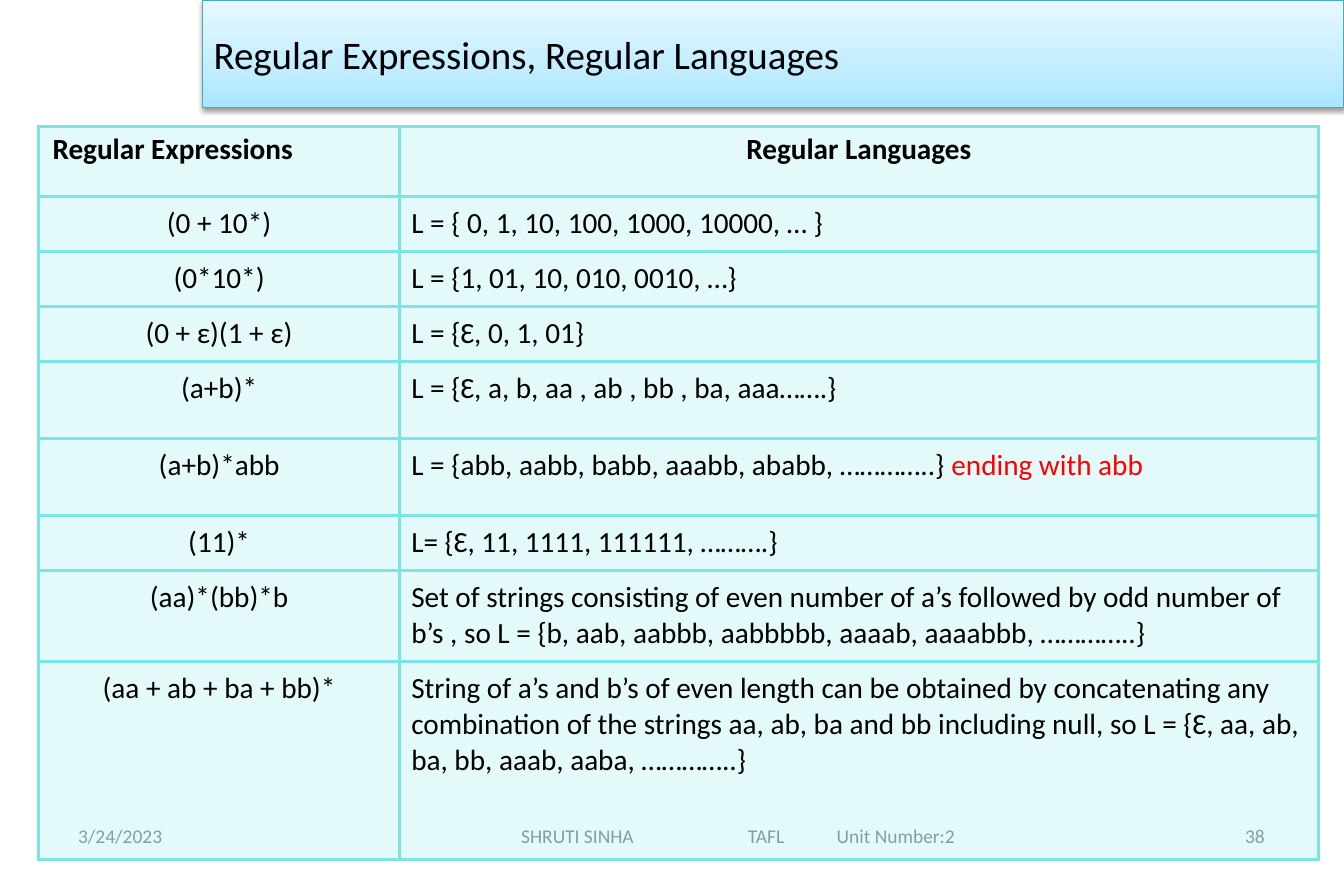
from typing import NamedTuple

from lxml import etree
from pptx import Presentation
from pptx.dml.color import RGBColor
from pptx.enum.shapes import MSO_SHAPE
from pptx.enum.text import MSO_ANCHOR, PP_ALIGN
from pptx.oxml import parse_xml
from pptx.oxml.ns import nsdecls, qn
from pptx.util import Inches, Pt

LEFT, CENTER, RIGHT = PP_ALIGN.LEFT, PP_ALIGN.CENTER, PP_ALIGN.RIGHT
MIDDLE = MSO_ANCHOR.MIDDLE
RECTANGLE = MSO_SHAPE.RECTANGLE
FONT = "Calibri"
COLORS = {
    "text": "000000",
    "accent": "FF0000",
    "footer": "8C8C8C",
    "grid": "7BE5E5",
    "banner_line": "46AAC5",
    "shadow": "000000",
}
BANNER_STOPS = [(0, "A7E6FF"), (35, "C1EDFF"), (100, "E7F8FF")]
COLUMN_WIDTHS = [3.09, 7.86]


class Footer(NamedTuple):
    text: str
    left: float
    width: float
    align: PP_ALIGN
    inset: float = 0.1
    tabs: tuple[float, ...] = ()


class Example(NamedTuple):
    expression: str
    language: str
    height: float
    remark: str = ""


FOOTERS = [
    Footer("3/24/2023", 0.57, 2.68, LEFT),
    Footer("SHRUTI SINHA\tTAFL\tUnit Number:2", 3.16, 6.33, LEFT, 1.3, (1.94, 2.7)),
    Footer("38", 8.24, 2.68, RIGHT),
]
HEADER = Example("Regular Expressions", "Regular Languages", 0.6)
EXAMPLES = [
    Example("(0 + 10*)", "L = { 0, 1, 10, 100, 1000, 10000, … }", 0.47),
    Example("(0*10*)", "L = {1, 01, 10, 010, 0010, …}", 0.47),
    Example("(0 + ε)(1 + ε)", "L = {Ɛ, 0, 1, 01}", 0.47),
    Example("(a+b)*", "L = {Ɛ, a, b, aa , ab , bb , ba, aaa…….}", 0.66),
    Example("(a+b)*abb", "L = {abb, aabb, babb, aaabb, ababb, …………..} ", 0.66,
            "ending with abb"),
    Example("(11)*", "L= {Ɛ, 11, 1111, 111111, ……….}", 0.47),
    Example("(aa)*(bb)*b",
            "Set of strings consisting of even number of a’s followed by odd number of "
            "b’s , so L = {b, aab, aabbb, aabbbbb, aaaab, aaaabbb, …………..}", 0.78),
    Example("(aa + ab + ba + bb)*",
            "String of a’s and b’s of even length can be obtained by concatenating any "
            "combination of the strings aa, ab, ba and bb including null, "
            "so L = {Ɛ, aa, ab, ba, bb, aaab, aaba, …………..}", 1.69),
]


def add_text(paragraph, text: str, *, size: float = 18, color: str = "text",
             bold: bool = False, align: PP_ALIGN = LEFT) -> None:
    paragraph.alignment = align
    run = paragraph.add_run()
    run.text = text
    run.font.name = FONT
    run.font.size = Pt(size)
    run.font.bold = bold
    run.font.color.rgb = RGBColor.from_string(COLORS[color])


def add_footer(slide, footer: Footer) -> None:
    box = slide.shapes.add_textbox(Inches(footer.left), Inches(6.95),
                                   Inches(footer.width), Inches(0.4))
    frame = box.text_frame
    frame.word_wrap = True
    frame.vertical_anchor = MIDDLE
    frame.margin_left = Inches(footer.inset)
    paragraph = frame.paragraphs[0]
    if footer.tabs:
        properties = paragraph._p.get_or_add_pPr()
        tab_list = etree.SubElement(properties, qn("a:tabLst"))
        for position in footer.tabs:
            etree.SubElement(tab_list, qn("a:tab"), pos=str(Inches(position)), algn="l")
    add_text(paragraph, footer.text, size=12, color="footer", align=footer.align)


def add_banner(slide, title: str) -> None:
    banner = slide.shapes.add_shape(RECTANGLE, Inches(1.73), Inches(0),
                                    Inches(9.77), Inches(0.92))
    banner.fill.gradient()
    banner.fill.gradient_angle = 90
    stops = banner._element.spPr.find(".//" + qn("a:gsLst"))
    for stop in list(stops):
        stops.remove(stop)
    for percent, color in BANNER_STOPS:
        stop = etree.SubElement(stops, qn("a:gs"), pos=str(percent * 1000))
        etree.SubElement(stop, qn("a:srgbClr"), val=color)
    banner.line.color.rgb = RGBColor.from_string(COLORS["banner_line"])
    banner.line.width = Pt(0.75)
    banner.shadow.inherit = False
    banner._element.spPr.find(qn("a:effectLst")).append(parse_xml(
        f'<a:outerShdw {nsdecls("a")} blurRad="{Pt(3.1)}" dist="{Pt(1.6)}" '
        f'dir="5400000" rotWithShape="0"><a:srgbClr val="{COLORS["shadow"]}">'
        '<a:alpha val="38000"/></a:srgbClr></a:outerShdw>'))
    banner.text_frame.word_wrap = True
    banner.text_frame.vertical_anchor = MIDDLE
    add_text(banner.text_frame.paragraphs[0], title, size=24)


def style_cell(cell, horizontal: float, vertical: float) -> None:
    cell.margin_left = cell.margin_right = Inches(horizontal)
    cell.margin_top = cell.margin_bottom = Inches(vertical)
    cell.fill.solid()
    cell.fill.fore_color.rgb = RGBColor.from_string(COLORS["grid"])
    properties = cell._tc.get_or_add_tcPr()
    tint = properties.find(qn("a:solidFill") + "/" + qn("a:srgbClr"))
    etree.SubElement(tint, qn("a:alpha"), val="20000")
    for index, side in enumerate("LRTB"):
        properties.insert(index, parse_xml(
            f'<a:ln{side} {nsdecls("a")} w="{Pt(2.25)}"><a:solidFill>'
            f'<a:srgbClr val="{COLORS["grid"]}"/></a:solidFill></a:ln{side}>'))


def add_examples(slide) -> None:
    rows = [HEADER, *EXAMPLES]
    table = slide.shapes.add_table(
        len(rows), len(COLUMN_WIDTHS), Inches(0.33), Inches(1.08),
        Inches(sum(COLUMN_WIDTHS)), Inches(sum(row.height for row in rows))).table
    table.first_row = table.horz_banding = False
    for column, width in zip(table.columns, COLUMN_WIDTHS):
        column.width = Inches(width)
    for index, example in enumerate(rows):
        is_header = example is HEADER
        table.rows[index].height = Inches(example.height)
        alignments = (LEFT, CENTER) if is_header else (CENTER, LEFT)
        margins = (0.12, 0.05) if is_header else (0.1, 0.08)
        texts = (example.expression, example.language)
        for column, (text, align) in enumerate(zip(texts, alignments)):
            cell = table.cell(index, column)
            style_cell(cell, *margins)
            add_text(cell.text_frame.paragraphs[0], text, bold=is_header, align=align)
        if example.remark:
            add_text(table.cell(index, 1).text_frame.paragraphs[0],
                     example.remark, color="accent")


def main() -> None:
    presentation = Presentation()
    presentation.slide_width = Inches(11.5)
    presentation.slide_height = Inches(7.5)
    slide = presentation.slides.add_slide(presentation.slide_layouts[6])
    for footer in FOOTERS:
        add_footer(slide, footer)
    add_banner(slide, "Regular Expressions, Regular Languages")
    add_examples(slide)
    presentation.save("out.pptx")


if __name__ == "__main__":
    main()
